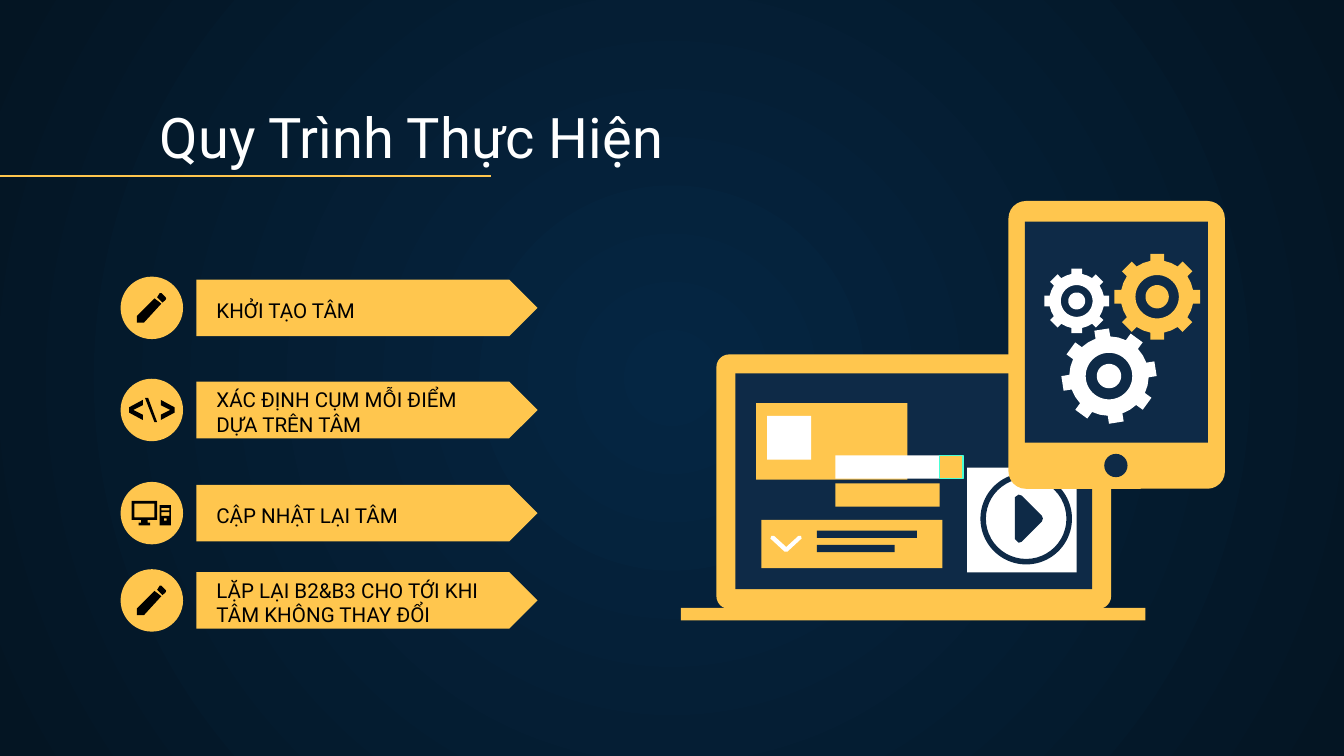
"""Builds the process slide: four numbered steps beside a laptop and tablet drawing."""
import math

import lxml.etree
import pptx
import pptx.dml.color
import pptx.enum.shapes
import pptx.enum.text
import pptx.oxml.ns
import pptx.util

Cm = pptx.util.Cm
Kind = pptx.enum.shapes.MSO_SHAPE

THEME = {
    "font": "Roboto", "title_size": 30, "step_size": 11, "line_width": 0.75,
    "yellow": "FFC64E", "navy": "0E2A47", "white": "FFFFFF", "black": "000000",
    "teal": "48FFD5", "glow": "052643", "edge": "041523",
}

TITLE = "Quy Trình Thực Hiện"
STEPS = [
    ("KHỞI TẠO TÂM", 1, 5.82, "pencil"),
    ("XÁC ĐỊNH CỤM MỖI ĐIỂM DỰA TRÊN TÂM", 2, 7.75, "code"),
    ("CẬP NHẬT LẠI TÂM", 1, 9.7, "computer"),
    ("LẶP LẠI B2&B3 CHO TỚI KHI TÂM KHÔNG THAY ĐỔI", 2, 11.35, "pencil"),
]


def box(left, top, right, bottom):
    return [(left, top), (right, top), (right, bottom), (left, bottom)]


BRACKET = [(-0.17, 0.19), (-0.43, 0.05), (-0.43, -0.05), (-0.17, -0.19),
           (-0.17, -0.09), (-0.35, 0), (-0.17, 0.09)]
ICONS = {
    "pencil": [
        [(0.18, -0.28), (0.15, -0.28), (0.1, -0.2), (0.2, -0.1),
         (0.26, -0.15), (0.27, -0.18), (0.26, -0.2)],
        [(0.05, -0.18), (-0.28, 0.15), (-0.28, 0.28), (-0.15, 0.28), (0.18, -0.08)],
    ],
    "code": [
        BRACKET,
        [(0.05, 0.23), (-0.13, -0.23), (-0.07, -0.23), (0.1, 0.23)],
        [(-x, y) for x, y in BRACKET],
    ],
    "computer": [
        [(-0.38, -0.23), (0.1, -0.23), (0.1, 0.13), (-0.08, 0.13), (-0.08, 0.18), (-0.03, 0.18),
         (-0.03, 0.23), (-0.25, 0.23), (-0.25, 0.18), (-0.2, 0.18), (-0.2, 0.13), (-0.38, 0.13)],
        box(-0.33, -0.18, 0.05, 0.08),
        box(0.15, -0.15, 0.36, 0.23),
        box(0.18, -0.1, 0.33, -0.05),
        box(0.18, -0.02, 0.33, 0.05),
        box(0.23, 0.1, 0.28, 0.14),
    ],
}

DEVICES = [
    (Kind.ROUNDED_RECTANGLE, "yellow", (13.54, 6.7, 7.46, 4.81), 0.05),
    (Kind.RECTANGLE, "navy", (13.9, 7.06, 6.74, 4.08), None),
    (Kind.RECTANGLE, "yellow", (12.87, 11.49, 8.78, 0.24), None),
    (Kind.RECTANGLE, "yellow", (14.29, 7.62, 2.86, 1.45), None),
    (Kind.RECTANGLE, "white", (14.5, 7.86, 0.83, 0.83), None),
    (Kind.RECTANGLE, "yellow", (14.39, 9.83, 3.42, 0.91), None),
    (Kind.RECTANGLE, "navy", (15.44, 10.03, 1.89, 0.14), None),
    (Kind.RECTANGLE, "navy", (15.44, 10.3, 1.47, 0.14), None),
    (Kind.RECTANGLE, "yellow", (15.79, 9.14, 1.97, 0.44), None),
    (Kind.RECTANGLE, "white", (15.79, 8.61, 1.97, 0.44), None),
    (Kind.RECTANGLE, "white", (18.28, 8.84, 2.07, 1.98), None),
    (Kind.DONUT, "navy", (18.53, 8.94, 1.73, 1.73), 0.06),
    (Kind.ROUNDED_RECTANGLE, "yellow", (19.06, 3.8, 4.09, 5.44), 0.08),
    (Kind.RECTANGLE, "navy", (19.37, 4.19, 3.46, 4.18), None),
    (Kind.OVAL, "navy", (20.87, 8.58, 0.44, 0.44), None),
]
TEAL_EDGED_SQUARE = (17.76, 8.61, 0.44, 0.44)
CHEVRON = [(14.63, 10.13), (14.86, 10.34), (15.09, 10.13), (15.14, 10.13), (15.15, 10.18),
           (14.88, 10.43), (14.83, 10.43), (14.56, 10.18), (14.58, 10.13)]
PLAY = [(19.18, 9.4), (19.25, 9.35), (19.31, 9.37), (19.69, 9.75), (19.71, 9.8),
        (19.69, 9.86), (19.31, 10.24), (19.25, 10.26), (19.18, 10.19)]
GEARS = [
    ("yellow", (21.87, 5.61), 0.81, 0.69, 0.13, 0.41, 0.22, 0),
    ("white", (20.35, 5.69), 0.61, 0.52, 0.1, 0.3, 0.16, 0),
    ("white", (20.96, 7.11), 0.89, 0.75, 0.14, 0.44, 0.23, -9),
]


def color(name):
    return pptx.dml.color.RGBColor.from_string(THEME[name])


def paint(shape, fill, line=None):
    shape.shadow.inherit = False
    shape.fill.solid()
    shape.fill.fore_color.rgb = color(fill)
    if line:
        shape.line.color.rgb = color(line)
        shape.line.width = pptx.util.Pt(THEME["line_width"])
    else:
        shape.line.fill.background()


def add_preset(slide, kind, fill, frame, adjustment=None, line=None):
    shape = slide.shapes.add_shape(kind, *map(Cm, frame))
    if adjustment is not None:
        shape.adjustments[0] = adjustment
    paint(shape, fill, line)


def add_outline(slide, fill, contours, center=(0, 0)):
    placed = [[(Cm(center[0] + x), Cm(center[1] + y)) for x, y in contour] for contour in contours]
    builder = slide.shapes.build_freeform(*placed[0][0])
    for number, contour in enumerate(placed):
        if number:
            builder.move_to(*contour[0])
        builder.add_line_segments(contour[1:], close=True)
    paint(builder.convert_to_shape(), fill)


def circle(radius, count=48):
    angles = [2 * math.pi * step / count for step in range(count)]
    return [(radius * math.cos(angle), radius * math.sin(angle)) for angle in angles]


def gear_rim(outer, body, half_tooth, turn, teeth=8):
    points = []
    for tooth in range(teeth):
        angle = math.radians(turn) + 2 * math.pi * tooth / teeth
        inner = math.sqrt(body ** 2 - half_tooth ** 2)
        corners = [(inner, -half_tooth), (outer, -half_tooth), (outer, half_tooth), (inner, half_tooth)]
        gap = math.pi / teeth
        corners.append((body * math.cos(gap), body * math.sin(gap)))
        points += [(x * math.cos(angle) - y * math.sin(angle),
                    x * math.sin(angle) + y * math.cos(angle)) for x, y in corners]
    return points


def add_text(slide, text, frame, size, color_name):
    text_frame = slide.shapes.add_textbox(*map(Cm, frame)).text_frame
    text_frame.word_wrap = True
    text_frame.vertical_anchor = pptx.enum.text.MSO_ANCHOR.BOTTOM
    text_frame.margin_left = text_frame.margin_right = Cm(0.25)
    text_frame.margin_top = text_frame.margin_bottom = Cm(0.25)
    paragraph = text_frame.paragraphs[0]
    paragraph.text = text
    paragraph.font.name = THEME["font"]
    paragraph.font.size = pptx.util.Pt(THEME[size])
    paragraph.font.color.rgb = color(color_name)


def set_background(slide):
    fill = slide.background.fill
    fill.gradient()
    for stop, name in zip(fill.gradient_stops, ("glow", "edge")):
        stop.color.rgb = color(name)
    qn = pptx.oxml.ns.qn
    gradient = slide.element.find(".//" + qn("a:gradFill"))
    gradient.remove(gradient.find(qn("a:lin")))
    radial = lxml.etree.SubElement(gradient, qn("a:path"), {"path": "circle"})
    lxml.etree.SubElement(radial, qn("a:fillToRect"), dict.fromkeys("ltrb", "50000"))


def add_title(slide):
    add_text(slide, TITLE, (2.77, 1.78, 21.77, 1.68), "title_size", "white")
    rule = slide.shapes.add_connector(
        pptx.enum.shapes.MSO_CONNECTOR.STRAIGHT, Cm(0), Cm(3.33), Cm(9.27), Cm(3.33))
    rule.line.color.rgb = color("yellow")
    rule.line.width = pptx.util.Pt(THEME["line_width"])
    lxml.etree.SubElement(rule.element.spPr, pptx.oxml.ns.qn("a:effectLst"))


def add_step(slide, text, line_count, middle, icon):
    icon_x, diameter, arrow_height = 2.87, 1.18, 1.07
    add_preset(slide, Kind.PENTAGON, "yellow", (3.71, middle - arrow_height / 2, 6.45, arrow_height), 0.5)
    add_preset(slide, Kind.OVAL, "yellow",
               (icon_x - diameter / 2, middle - diameter / 2, diameter, diameter))
    add_outline(slide, "black", ICONS[icon], (icon_x, middle))
    height = 0.53 * line_count
    bottom = middle + 0.27 + 0.24 * line_count
    add_text(slide, text, (3.84, bottom - height, 5.77, height), "step_size", "black")


def main():
    presentation = pptx.Presentation()
    presentation.slide_width, presentation.slide_height = Cm(25.4), Cm(14.29)
    slide = presentation.slides.add_slide(presentation.slide_layouts[6])
    set_background(slide)
    add_title(slide)
    for step in STEPS:
        add_step(slide, *step)
    for device in DEVICES:
        add_preset(slide, *device)
    add_preset(slide, Kind.RECTANGLE, "yellow", TEAL_EDGED_SQUARE, line="teal")
    add_outline(slide, "white", [CHEVRON])
    add_outline(slide, "navy", [PLAY])
    for fill, center, outer, body, half_tooth, hole, hub, turn in GEARS:
        contours = [gear_rim(outer, body, half_tooth, turn), circle(hole), circle(hub)]
        add_outline(slide, fill, contours, center)
    presentation.save("out.pptx")


if __name__ == "__main__":
    main()
